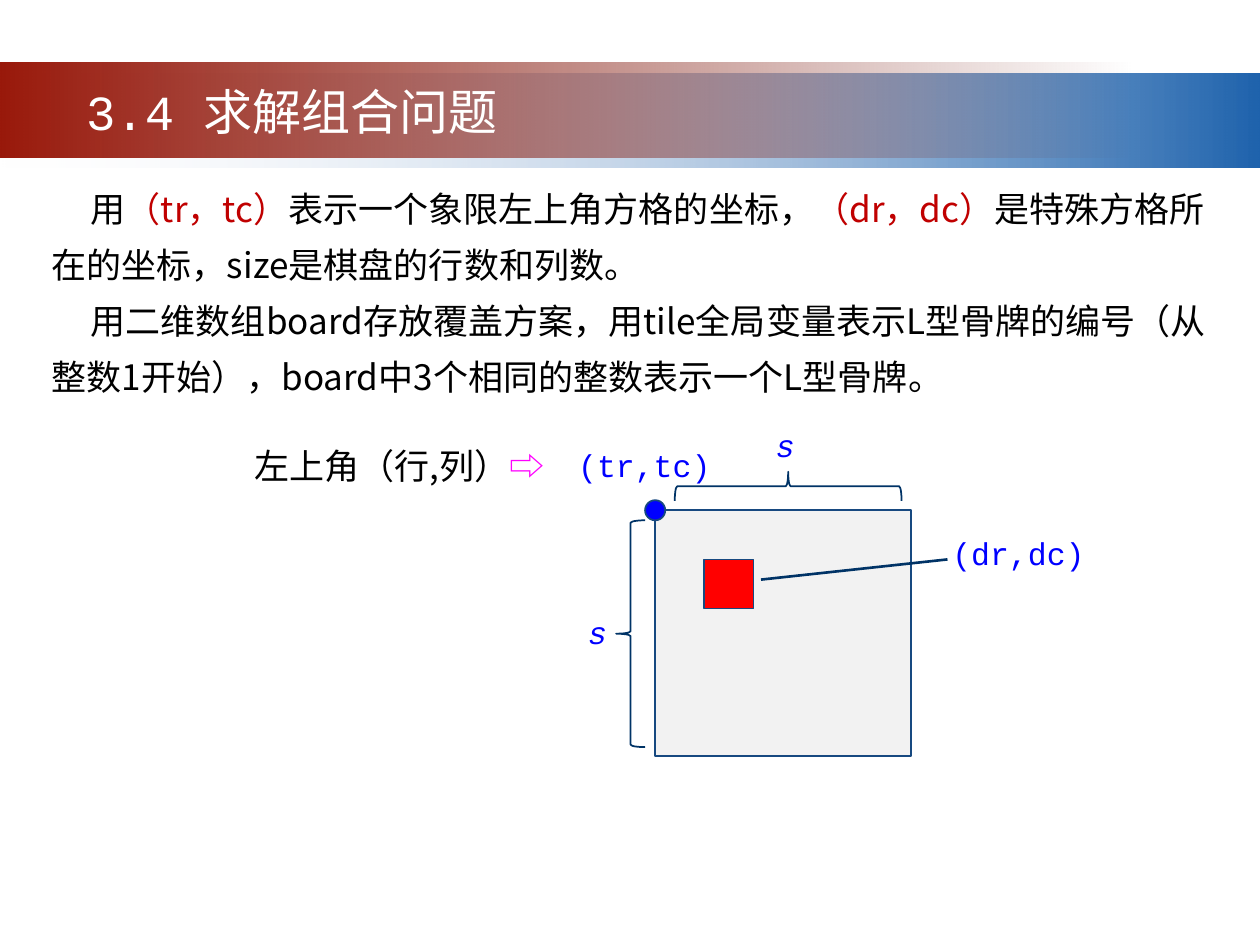
from typing import NamedTuple

from lxml.etree import SubElement
from pptx import Presentation
from pptx.dml.color import RGBColor
from pptx.enum.shapes import MSO_CONNECTOR, MSO_SHAPE
from pptx.enum.text import MSO_ANCHOR, MSO_AUTO_SIZE, PP_ALIGN
from pptx.oxml.ns import qn
from pptx.util import Inches, Pt

MONO = "Courier New"
HAN = "Noto Sans CJK SC"
BLACK, WHITE, BLUE = "000000", "FFFFFF", "0000FF"
CRIMSON, MAGENTA = "C00000", "FF00FF"
EDGE, INK = "174980", "003366"


class Frame(NamedTuple):
    left: float
    top: float
    width: float
    height: float


class Span(NamedTuple):
    text: str
    color: str = BLACK
    font: str = ""


class Label(NamedTuple):
    text: str
    left: float
    top: float
    width: float
    italic: bool = False


class Figure(NamedTuple):
    kind: MSO_SHAPE
    frame: Frame
    fill: str = ""
    line: str = EDGE
    rotation: int = 0


class Band(NamedTuple):
    frame: Frame
    start: str
    end: str
    clear_stop: int


LABELS = [
    Label("(tr,tc)", 4.49, 3.49, 1.33),
    Label("(dr,dc)", 7.46, 4.19, 1.33),
    Label("s", 4.57, 4.82, 0.31, italic=True),
    Label("s", 6.06, 3.33, 0.31, italic=True),
]
FIGURES = [
    Figure(MSO_SHAPE.RECTANGLE, Frame(5.2, 4.05, 2.03, 1.95), "F2F2F2"),
    Figure(MSO_SHAPE.RECTANGLE, Frame(5.59, 4.44, 0.39, 0.39), "FF0000"),
    Figure(MSO_SHAPE.OVAL, Frame(5.12, 3.97, 0.16, 0.16), BLUE),
    Figure(MSO_SHAPE.LEFT_BRACE, Frame(4.89, 4.13, 0.23, 1.8), line=INK),
    Figure(MSO_SHAPE.LEFT_BRACE, Frame(6.14, 2.96, 0.23, 1.8), line=INK, rotation=90),
]
BANDS = [
    Band(Frame(0, 0.58, 10, 0.75), "F1F2F7", "1F63AD", clear_stop=0),
    Band(Frame(0, 0.5, 9, 0.75), "99190B", "6D1208", clear_stop=1),
]
BODY = [
    [
        Span("用"),
        Span("（tr，tc）", CRIMSON),
        Span("表示一个象限左上角方格的坐标，"),
        Span("（dr，dc）", CRIMSON),
        Span("是特殊方格所在的坐标，size是棋盘的行数和列数。"),
    ],
    [Span("用二维数组board存放覆盖方案，用tile全局变量表示L型骨牌的编号"
          "（从整数1开始），board中3个相同的整数表示一个L型骨牌。")],
]


def rgb(color: str) -> RGBColor:
    return RGBColor.from_string(color)


def lengths(frame: Frame) -> list:
    return [Inches(value) for value in frame]


def place(box, frame: Frame) -> None:
    box.left, box.top, box.width, box.height = lengths(frame)


def set_face(font, name: str) -> None:
    """Use one typeface for Latin and East Asian letters."""
    font.name = name
    SubElement(font._element, qn("a:ea")).set("typeface", name)


def write(para, spans: list[Span], size: int, font: str = "") -> None:
    """Fill a paragraph; the shared font and size go on the paragraph."""
    para.font.size = Pt(size)
    colors = {span.color for span in spans}
    if len(colors) == 1:
        para.font.color.rgb = rgb(spans[0].color)
    if font:
        set_face(para.font, font)
    for span in spans:
        run = para.add_run()
        run.text = span.text
        if len(colors) > 1:
            run.font.color.rgb = rgb(span.color)
        if span.font:
            set_face(run.font, span.font)


def add_band(page, band: Band):
    shape = page.shapes.add_shape(MSO_SHAPE.RECTANGLE, *lengths(band.frame))
    shape.shadow.inherit = False
    shape.line.fill.background()
    shape.fill.gradient()
    shape.fill.gradient_angle = 0
    for stop, color in zip(shape.fill.gradient_stops, (band.start, band.end)):
        stop.color.rgb = rgb(color)
    tints = list(shape._element.spPr.iter(qn("a:srgbClr")))
    SubElement(tints[band.clear_stop], qn("a:alpha")).set("val", "0")
    return shape


def add_figure(page, figure: Figure) -> None:
    shape = page.shapes.add_shape(figure.kind, *lengths(figure.frame))
    shape.shadow.inherit = False
    shape.rotation = figure.rotation
    shape.line.color.rgb = rgb(figure.line)
    shape.line.width = Pt(1)
    if figure.fill:
        shape.fill.solid()
        shape.fill.fore_color.rgb = rgb(figure.fill)
    else:
        shape.fill.background()


def add_text(page, frame: Frame):
    box = page.shapes.add_textbox(*lengths(frame))
    box.text_frame.word_wrap = True
    return box.text_frame.paragraphs[0]


def add_label(page, label: Label) -> None:
    para = add_text(page, Frame(label.left, label.top, label.width, 0.4))
    write(para, [Span(label.text, BLUE)], 18, MONO)
    if label.italic:
        para.font.italic = True


def main() -> None:
    deck = Presentation()
    deck.slide_width, deck.slide_height = Inches(10), Inches(7.5)
    page = deck.slides.add_slide(deck.slide_layouts[1])
    title, body = page.placeholders

    # Header bands, behind everything else
    for index, band in enumerate(BANDS):
        shape = add_band(page, band)
        title._element.getparent().insert(2 + index, shape._element)

    # Title
    place(title, Frame(0.44, 0.6, 3.75, 0.57))
    title.text_frame.vertical_anchor = MSO_ANCHOR.TOP
    title.text_frame.auto_size = MSO_AUTO_SIZE.NONE
    heading = title.text_frame.paragraphs[0]
    heading.alignment = PP_ALIGN.CENTER
    write(heading, [Span("3.4 ", WHITE, MONO), Span("求解组合问题", WHITE, HAN)], 28)

    # Body paragraphs with a first-line indent and no bullets
    place(body, Frame(0.31, 1.33, 9.38, 1.9))
    body.text_frame.auto_size = MSO_AUTO_SIZE.NONE
    for index, spans in enumerate(BODY):
        para = body.text_frame.add_paragraph() if index else body.text_frame.paragraphs[0]
        para.line_spacing = Pt(32)
        para.space_before = Pt(0)
        properties = para._element.get_or_add_pPr()
        properties.set("marL", "0")
        properties.set("indent", str(Inches(0.31)))
        SubElement(properties, qn("a:buNone"))
        write(para, spans, 20, HAN)

    # Chessboard, special square, corner and braces
    for figure in FIGURES:
        add_figure(page, figure)

    # Pointer to the special square
    pointer = page.shapes.add_connector(
        MSO_CONNECTOR.STRAIGHT, Inches(6.04), Inches(4.6), Inches(7.52), Inches(4.44))
    pointer.line.color.rgb = rgb(INK)
    pointer.line.width = Pt(1.5)
    SubElement(pointer._element.spPr, qn("a:effectLst"))

    # Labels
    for label in LABELS:
        add_label(page, label)
    corner = add_text(page, Frame(1.92, 3.48, 2.75, 0.44))
    write(corner, [Span("左上角（行,列）"), Span("⇨", MAGENTA)], 20, HAN)

    deck.save("out.pptx")


if __name__ == "__main__":
    main()
